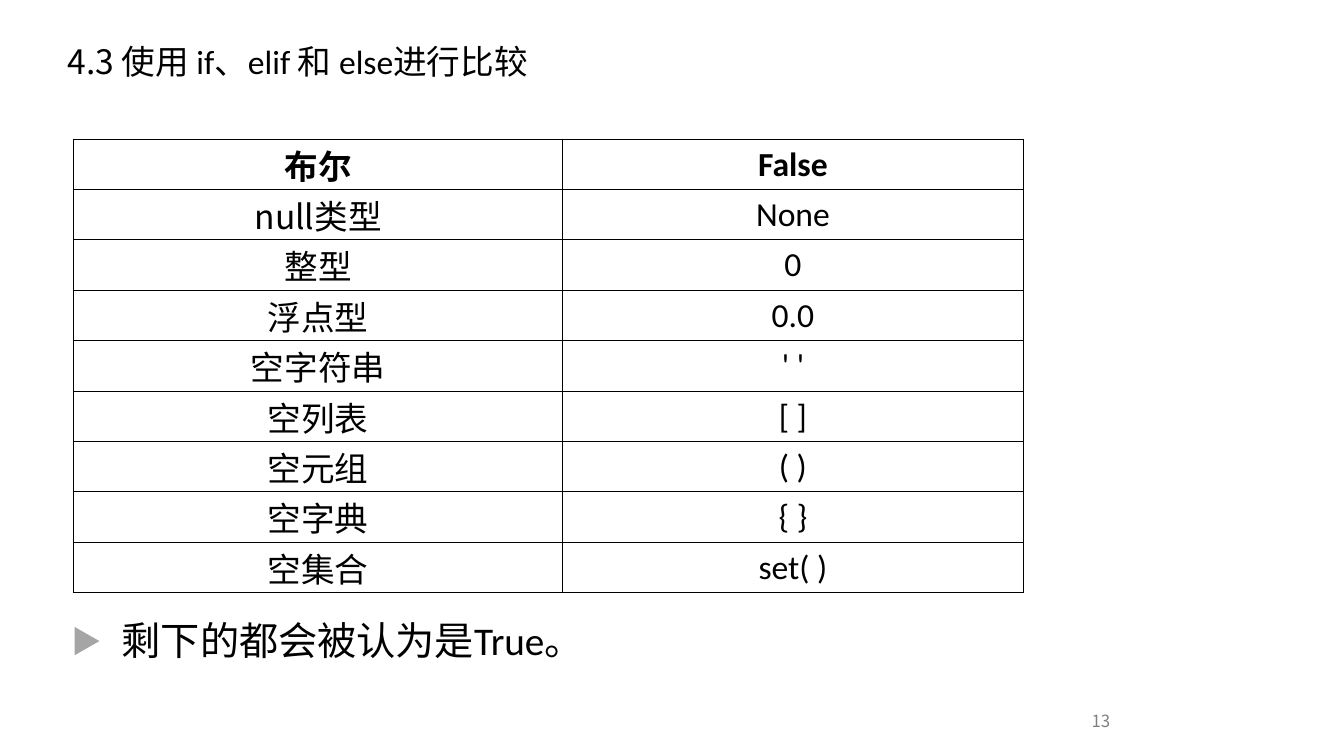
from lxml import etree
from pptx import Presentation
from pptx import util as u
from pptx.dml.color import RGBColor
from pptx.enum import text
from pptx.oxml.ns import qn

HAN, LATIN = "Noto Sans CJK SC", "Calibri"
BLACK = RGBColor(0x00, 0x00, 0x00)
WHITE = RGBColor(0xFF, 0xFF, 0xFF)
ARROW_GRAY = RGBColor(0xA5, 0xA5, 0xA5)
NUMBER_GRAY = RGBColor(0x80, 0x80, 0x80)

HEADING = [("4.3 使用 ", HAN), ("if、elif ", LATIN), ("和 ", HAN),
           ("else", LATIN), ("进行比较", HAN)]
FALSE_VALUES = [
    ("布尔", "False"),
    ("null类型", "None"),
    ("整型", "0"),
    ("浮点型", "0.0"),
    ("空字符串", "' '"),
    ("空列表", "[ ]"),
    ("空元组", "( )"),
    ("空字典", "{ }"),
    ("空集合", "set( )"),
]
CONCLUSION = [("剩下的都会被认为是", HAN), ("True", LATIN), ("。", HAN)]
PAGE_NUMBER = [("13", HAN)]

COLUMN_WIDTHS = (4.85, 4.57)
COLUMN_FONTS = (HAN, LATIN)
TOP_MARGINS = (0.01, 0.05)
ROW_HEIGHT = 0.5
LEFT_EDGE = 0.73


def write_runs(paragraph, pieces, size, color=BLACK, bold=False):
    """Add (words, font) pieces to a paragraph, with Han glyphs in HAN."""
    for words, font in pieces:
        run = paragraph.add_run()
        run.text = words
        run.font.name = font
        run.font.size = u.Pt(size)
        run.font.bold = bold
        run.font.color.rgb = color
        run.font._element.find(qn("a:latin")).addnext(
            run.font._element.makeelement(qn("a:ea"), {"typeface": HAN}))


def add_line(slide, pieces, box, size, color=BLACK, grow=True):
    """Add a one-line text box, centred vertically, and return its paragraph."""
    frame = slide.shapes.add_textbox(*map(u.Inches, box)).text_frame
    frame.word_wrap = True
    frame.vertical_anchor = text.MSO_ANCHOR.MIDDLE
    if grow:
        frame.auto_size = text.MSO_AUTO_SIZE.SHAPE_TO_FIT_TEXT
    write_runs(frame.paragraphs[0], pieces, size, color)
    return frame.paragraphs[0]


def outline_cell(cell):
    """Draw a thin black border on all four sides of a cell."""
    properties = cell._tc.get_or_add_tcPr()
    for index, side in enumerate(("lnL", "lnR", "lnT", "lnB")):
        line = properties.makeelement(qn("a:" + side), {"w": str(u.Pt(1))})
        fill = etree.SubElement(line, qn("a:solidFill"))
        etree.SubElement(fill, qn("a:srgbClr"), val=str(BLACK))
        properties.insert(index, line)


def add_false_table(slide):
    """Add the table of values that count as False."""
    table = slide.shapes.add_table(
        len(FALSE_VALUES), len(COLUMN_WIDTHS), u.Inches(LEFT_EDGE), u.Inches(1.38),
        u.Inches(sum(COLUMN_WIDTHS)), u.Inches(ROW_HEIGHT * len(FALSE_VALUES))).table
    for column, width in zip(table.columns, COLUMN_WIDTHS):
        column.width = u.Inches(width)
    for r, entry in enumerate(FALSE_VALUES):
        table.rows[r].height = u.Inches(ROW_HEIGHT)
        for c, words in enumerate(entry):
            cell = table.cell(r, c)
            cell.fill.solid()
            cell.fill.fore_color.rgb = WHITE
            cell.margin_top = u.Inches(TOP_MARGINS[c])
            cell.margin_bottom = 0
            outline_cell(cell)
            paragraph = cell.text_frame.paragraphs[0]
            paragraph.alignment = text.PP_ALIGN.CENTER
            write_runs(paragraph, [(words, COLUMN_FONTS[c])], 24, bold=r == 0)


def add_arrow_bullet(slide, top, width, height):
    """Draw the triangle that points at the conclusion."""
    builder = slide.shapes.build_freeform(
        u.Inches(LEFT_EDGE), u.Inches(top))
    builder.add_line_segments([
        (u.Inches(LEFT_EDGE + width), u.Inches(top + height / 2)),
        (u.Inches(LEFT_EDGE), u.Inches(top + height))], close=True)
    bullet = builder.convert_to_shape()
    bullet.shadow.inherit = False
    bullet.fill.solid()
    bullet.fill.fore_color.rgb = ARROW_GRAY
    bullet.line.color.rgb = WHITE
    bullet.line.width = u.Pt(1.5)


deck = Presentation()
deck.slide_width, deck.slide_height = u.Inches(13.33), u.Inches(7.5)
slide = deck.slides.add_slide(deck.slide_layouts[6])

add_line(slide, HEADING, (0.57, 0.36, 9.72, 0.5), 24)
add_false_table(slide)
add_line(slide, CONCLUSION, (1.11, 6.06, 11.53, 0.57), 28)
add_arrow_bullet(slide, 6.2, 0.28, 0.32)
number = add_line(slide, PAGE_NUMBER, (9.42, 6.95, 3, 0.4), 12, NUMBER_GRAY, grow=False)
number.alignment = text.PP_ALIGN.CENTER

deck.save("out.pptx")
